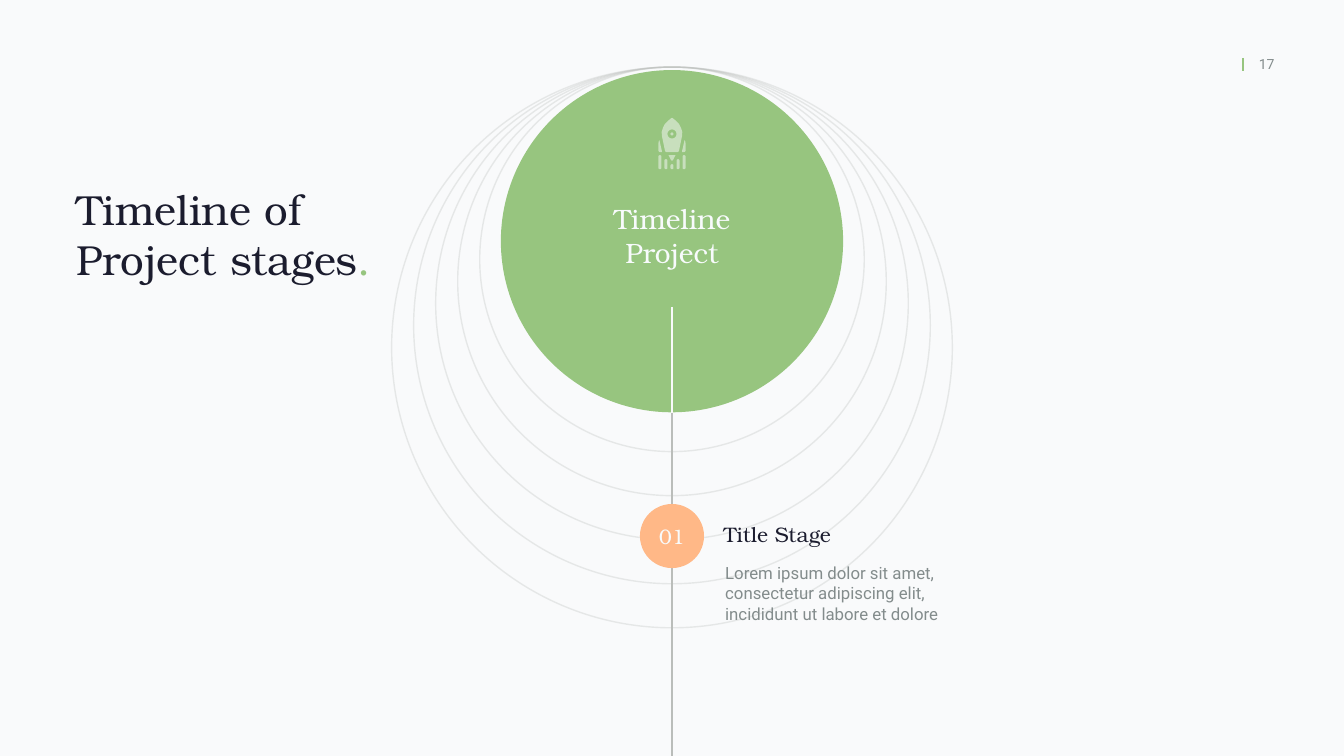
from dataclasses import dataclass
from math import cos, pi, sin

from lxml.etree import SubElement
from pptx import Presentation
from pptx.dml.color import RGBColor
from pptx.enum.shapes import MSO_CONNECTOR, MSO_SHAPE
from pptx.enum.text import MSO_ANCHOR, PP_ALIGN
from pptx.oxml.ns import qn
from pptx.util import Cm, Pt


@dataclass(frozen=True)
class Theme:
    paper: RGBColor = RGBColor.from_string("F9FAFB")
    ink: RGBColor = RGBColor.from_string("1B1C2E")
    gray: RGBColor = RGBColor.from_string("838C8C")
    rule: RGBColor = RGBColor.from_string("BABDBA")
    green: RGBColor = RGBColor.from_string("97C57F")
    orange: RGBColor = RGBColor.from_string("FFB887")
    white: RGBColor = RGBColor.from_string("F8FBFC")
    serif: str = "TeX Gyre Bonum"
    sans: str = "Roboto"
    title: Pt = Pt(60)
    hub: Pt = Pt(40)
    heading: Pt = Pt(30)
    body: Pt = Pt(24)
    page: Pt = Pt(20)


theme = Theme()


def write(frame, lines, size, font, color, align=PP_ALIGN.LEFT, inset=0.15):
    """Fill a text frame with one paragraph per line."""
    frame.word_wrap = True
    frame.margin_left = frame.margin_right = Cm(inset)
    frame.margin_top = frame.margin_bottom = Cm(inset)
    for number, line in enumerate(lines):
        paragraph = frame.paragraphs[0] if number == 0 else frame.add_paragraph()
        paragraph.alignment = align
        paragraph.font.size, paragraph.font.name = size, font
        paragraph.font.color.rgb = color
        paragraph.add_run().text = line


def set_opacity(fill, percent):
    color = fill._xPr.find(qn("a:solidFill"))[0]
    SubElement(color, qn("a:alpha"), val=str(percent * 1000))


prs = Presentation()
prs.slide_width, prs.slide_height = Cm(67.74), Cm(38.1)
slide = prs.slides.add_slide(prs.slide_layouts[6])
slide.background.fill.solid()
slide.background.fill.fore_color.rgb = theme.paper
shapes = slide.shapes
axis = 33.87

# Header
page_number = shapes.add_textbox(Cm(62.23), Cm(2.67), Cm(3.23), Cm(1.12)).text_frame
write(page_number, ["17"], theme.page, theme.sans, theme.gray, PP_ALIGN.CENTER, inset=0.13)

# Discs: diameter, top, fill; the rings share their top and grow evenly
ring_top, ring_step = 3.38, 2.22
discs = [(17.25, 3.53, theme.green)]
discs += [(19.38 + ring_step * i, ring_top, None) for i in range(5)]
discs.append((3.23, 25.4, theme.orange))

# Vertical rules: x, top, bottom, colour, width
rules = [
    (62.66, 2.92, 3.56, theme.green, 3),
    (axis, 15.49, 20.8, theme.paper, 2),
    (axis, 20.8, 38.1, theme.rule, 2),
]

for diameter, top, color in discs:
    if color == theme.orange:
        for x, start, end, rule_color, width in rules:
            rule = shapes.add_connector(MSO_CONNECTOR.STRAIGHT, Cm(x), Cm(start), Cm(x), Cm(end))
            rule.line.color.rgb = rule_color
            rule.line.width = Pt(width)
            SubElement(rule._element.spPr, qn("a:effectLst"))
    disc = shapes.add_shape(
        MSO_SHAPE.OVAL, Cm(axis - diameter / 2), Cm(top), Cm(diameter), Cm(diameter))
    disc.shadow.inherit = False
    if color is None:
        disc.fill.background()
        disc.line.color.rgb = theme.rule
        disc.line.width = Pt(2)
        set_opacity(disc.line.fill, 30)
    else:
        disc.fill.solid()
        disc.fill.fore_color.rgb = color
        disc.line.fill.background()

# The last disc is the stage badge
disc.text_frame.vertical_anchor = MSO_ANCHOR.MIDDLE
write(disc.text_frame, ["01"], theme.heading, theme.serif, theme.white, PP_ALIGN.CENTER, inset=0)

hub = shapes.add_textbox(Cm(29.29), Cm(10.01), Cm(9.17), Cm(3.71)).text_frame
write(hub, ["Timeline", "Project"], theme.hub, theme.serif, theme.white, PP_ALIGN.CENTER)

# Rocket, on a grid 102 units high with x measured from the axis
hull = [(0, 0), (2, 1), (8, 6), (14, 12), (18, 20), (20.5, 28), (20, 36),
        (14, 65), (13, 67), (11, 68)]
flame = [(7, 74), (4, 80), (2, 84), (0, 85)]
fin = [(25, 44), (26.5, 47), (27, 51), (27, 65), (26, 67), (24, 68), (20, 68), (20, 66)]
outlines = [half + [(-x, y) for x, y in reversed(half)] for half in (hull, flame)]
outlines += [fin, [(-x, y) for x, y in fin]]

# Capsules: centre x, top, bottom, radius (porthole, its centre, then the exhaust)
capsules = [(0, 23, 41, 9), (0, 29, 35, 3)]
capsules += [(x, top, 102, 3) for x, top in [(-24, 74), (-12, 82), (0, 92), (12, 82), (24, 74)]]
arc = [i * pi / 12 for i in range(13)]
for x, top, bottom, radius in capsules:
    outlines.append(
        [(x + radius * cos(a), bottom - radius + radius * sin(a)) for a in arc]
        + [(x - radius * cos(a), top + radius - radius * sin(a)) for a in arc])

unit = Cm(2.59) / 102
contours = [[(round(x * unit), round(y * unit)) for x, y in outline] for outline in outlines]
builder = shapes.build_freeform(*contours[0][0])
for number, contour in enumerate(contours):
    if number:
        builder.move_to(*contour[0])
    builder.add_line_segments(contour[1:], close=True)
rocket = builder.convert_to_shape(Cm(axis), Cm(5.94))
rocket.shadow.inherit = False
rocket.fill.solid()
rocket.fill.fore_color.rgb = theme.paper
set_opacity(rocket.fill, 50)
rocket.line.fill.background()

# Stage text and slide title
stage_text = shapes.add_textbox(Cm(36.4), Cm(28.22), Cm(11.76), Cm(3.35)).text_frame
write(stage_text,
      ["Lorem ipsum dolor sit amet, consectetur adipiscing elit, incididunt ut labore et dolore"],
      theme.body, theme.sans, theme.gray)
stage_title = shapes.add_textbox(Cm(36.32), Cm(26.14), Cm(6.96), Cm(1.57)).text_frame
write(stage_title, ["Title Stage"], theme.heading, theme.serif, theme.ink)
title = shapes.add_textbox(Cm(3.71), Cm(9.09), Cm(16.97), Cm(5.41)).text_frame
write(title, ["Timeline of Project stages"], theme.title, theme.serif, theme.ink)
full_stop = title.paragraphs[0].add_run()
full_stop.text = "."
full_stop.font.color.rgb = theme.green

prs.save("out.pptx")
